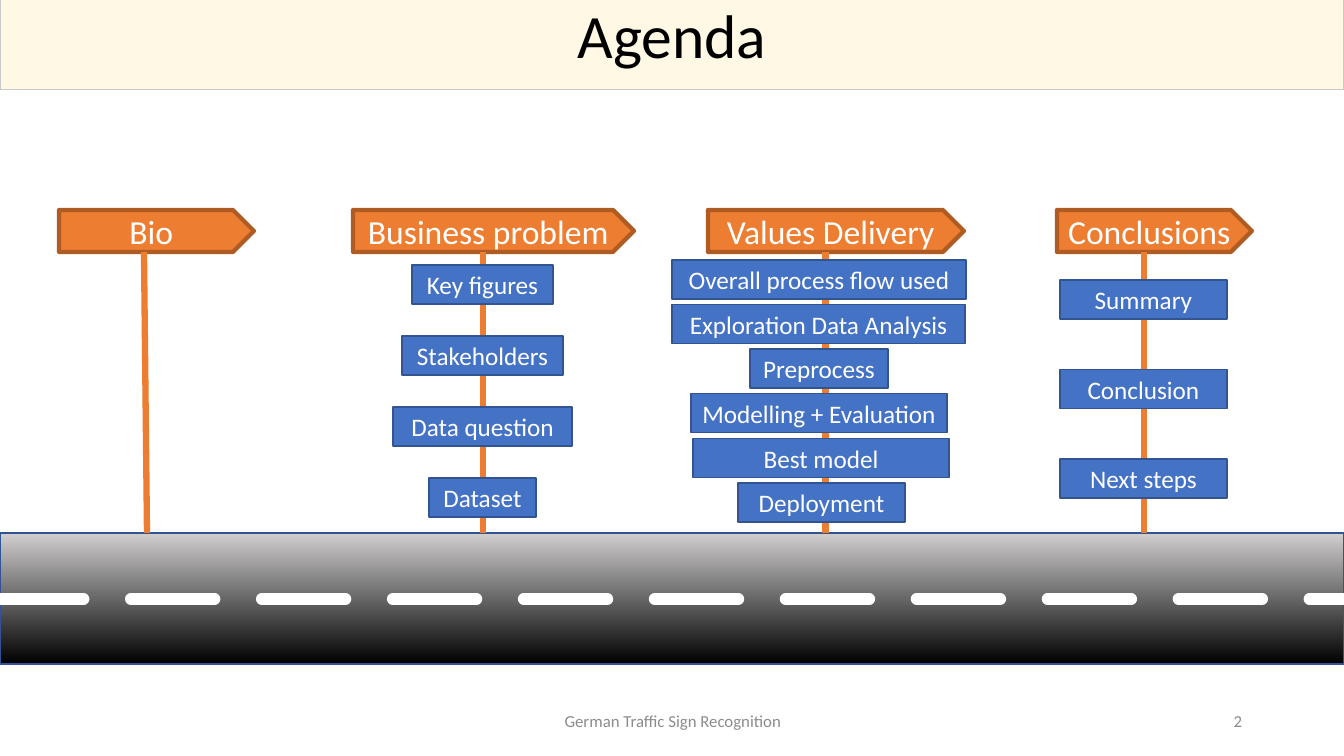
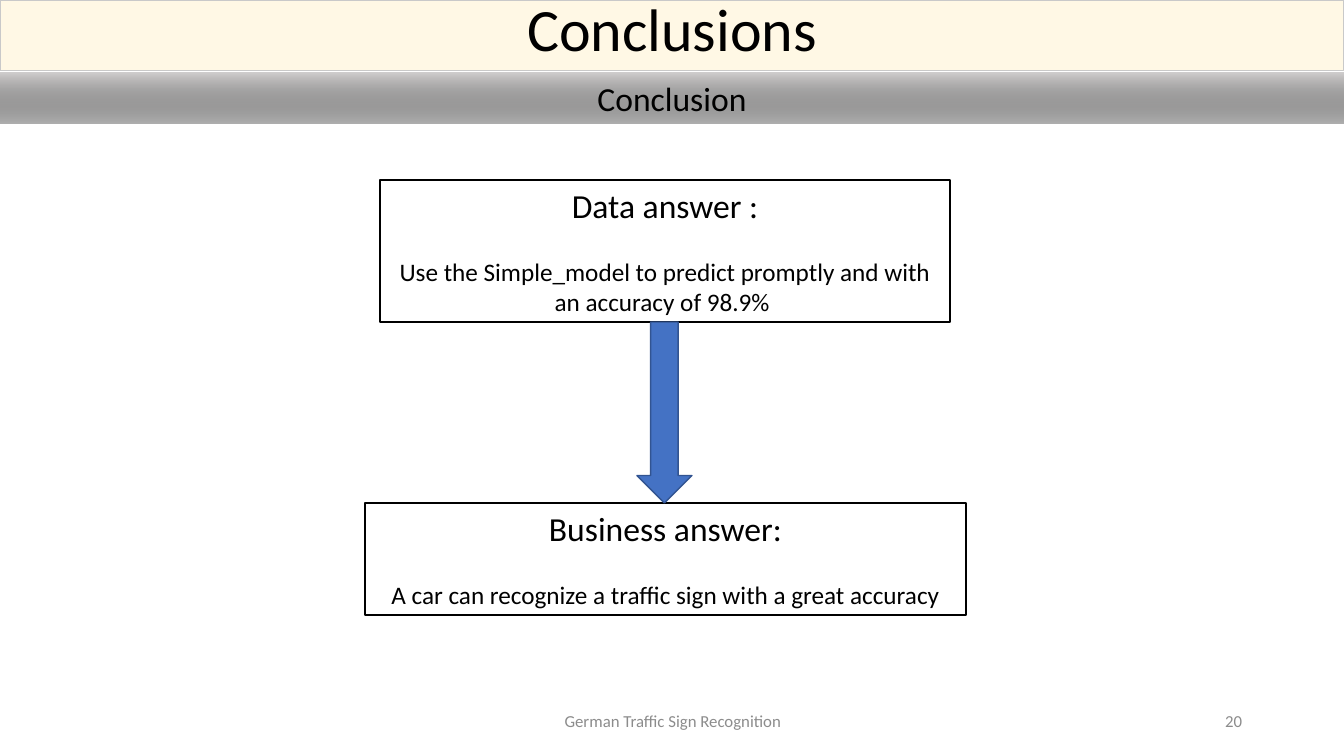
from lxml.etree import SubElement
from pptx import Presentation
from pptx.dml.color import RGBColor
from pptx.enum.dml import MSO_LINE
from pptx.enum.shapes import MSO_CONNECTOR, MSO_SHAPE as Shape
from pptx.enum.text import MSO_ANCHOR as Anchor, PP_ALIGN as Align
from pptx.oxml.ns import qn
from pptx.util import Emu, Pt

SCALE = 12192000 / 1344  # EMU in one px
WIDTH, HEIGHT = 1344, 756

FONT = "Calibri"
BLACK, WHITE, GREY = "000000", "FFFFFF", "8C8C8C"
CREAM, CREAM_EDGE = "FFF2CC", "C9C9C9"
ORANGE, ORANGE_EDGE = "ED7D31", "AF5C24"
BLUE, BLUE_EDGE = "4472C4", "325491"
ASPHALT = (BLACK, "D0CECE")  # bottom to top


def px(value):
    return Emu(round(value * SCALE))


def color(code):
    return RGBColor.from_string(code)


class Slides:
    """Shared style and the slide being built."""

    def __init__(self):
        self.deck = Presentation()
        self.deck.slide_width, self.deck.slide_height = px(WIDTH), px(HEIGHT)
        self.page = None

    def new_page(self, title, number, band_height, size, spacing):
        self.page = self.deck.slides.add_slide(self.deck.slide_layouts[6])
        self.footer("German Traffic Sign Recognition", 446, 454, Align.CENTER)
        self.footer(str(number), 950, 302, Align.RIGHT)
        band = self.shape(Shape.RECTANGLE, 0, 0, WIDTH, band_height,
                          CREAM, CREAM_EDGE, 0.75, alpha=50)
        self.add_text(band, [(title, size)], BLACK, Anchor.TOP, spacing=spacing)

    def footer(self, text, left, width, align):
        box = self.page.shapes.add_textbox(px(left), px(701), px(width), px(40))
        self.add_text(box, [(text, 12)], GREY, align=align)

    def shape(self, kind, left, top, width, height, fill, edge=None,
              weight=1, alpha=None):
        """Preset shape; a pair of colours makes an upward gradient."""
        shape = self.page.shapes.add_shape(
            kind, px(left), px(top), px(width), px(height))
        shape.shadow.inherit = False
        if isinstance(fill, tuple):
            shape.fill.gradient()
            shape.fill.gradient_angle = 90
            for stop, code in zip(shape.fill.gradient_stops, fill):
                stop.color.rgb = color(code)
        else:
            shape.fill.solid()
            shape.fill.fore_color.rgb = color(fill)
        if alpha is not None:
            first = shape.element.spPr.xpath(".//a:srgbClr")[0]
            SubElement(first, qn("a:alpha")).set("val", str(alpha * 1000))
        if edge:
            shape.line.color.rgb = color(edge)
            shape.line.width = Pt(weight)
        else:
            shape.line.fill.background()
        return shape

    def add_text(self, box, lines, code, anchor=Anchor.MIDDLE,
                 align=Align.CENTER, spacing=None, gap=0):
        """Fill a box with (text, size) paragraphs, gap points apart."""
        frame = box.text_frame
        frame.word_wrap = True
        frame.vertical_anchor = anchor
        for index, (text, size) in enumerate(lines):
            para = frame.add_paragraph() if index else frame.paragraphs[0]
            para.alignment = align
            if spacing:
                para.line_spacing = spacing
            if index and gap:
                para.space_before = Pt(gap)
            span = para.add_run()
            span.text = text
            span.font.name = FONT
            span.font.size = Pt(size)
            span.font.color.rgb = color(code)

    def line(self, x1, y1, x2, y2, code, weight):
        line = self.page.shapes.add_connector(
            MSO_CONNECTOR.STRAIGHT, px(x1), px(y1), px(x2), px(y2))
        line.line.color.rgb = color(code)
        line.line.width = Pt(weight)
        SubElement(line.element.spPr, qn("a:effectLst"))
        return line

    def road(self, top, height, middle):
        self.shape(Shape.RECTANGLE, 0, top, WIDTH, height, ASPHALT, BLUE_EDGE)
        marking = self.line(0, middle, WIDTH, middle, WHITE, 8.5)
        marking.line.dash_style = MSO_LINE.LONG_DASH
        marking.element.spPr.find(qn("a:ln")).set("cap", "rnd")

    def signpost(self, title, left, width, foot, stem=None):
        """Arrow-shaped sign on a stem that runs down to the road."""
        top, height = 210, 42
        sign = self.shape(Shape.PENTAGON, left, top, width, height,
                          ORANGE, ORANGE_EDGE, 3)
        self.add_text(sign, [(title, 24)], WHITE)
        middle = left + (width - height / 2) / 2  # centre of the flat edge
        start, end = stem or (middle, middle)
        self.line(start, top + height, end, foot, ORANGE, 4.5)

    def topics(self, first, last, items):
        """Chips (text, left, width) spread evenly between two tops."""
        step = (last - first) / (len(items) - 1)
        for index, (text, left, width) in enumerate(items):
            chip = self.shape(Shape.RECTANGLE, left, first + index * step,
                              width, 39, BLUE, BLUE_EDGE)
            self.add_text(chip, [(text, 18)], WHITE)

    def answer(self, heading, text, left, top, width, height):
        box = self.shape(Shape.RECTANGLE, left, top, width, height, WHITE, BLACK)
        self.add_text(box, [(heading, 24), (text, 18)], BLACK, Anchor.TOP, gap=22)


def agenda(slides):
    slides.new_page("Agenda", 2, 90, 44, 0.9)
    road_top = 533
    slides.road(road_top, 131, 599)

    # Signs along the road
    slides.signpost("Bio", 59, 195, road_top, stem=(144, 147))
    slides.signpost("Business problem", 353, 281, road_top)
    slides.signpost("Values Delivery", 708, 256, road_top)
    slides.signpost("Conclusions", 1057, 195, road_top)

    # Topics on each stem
    slides.topics(265, 478, [
        ("Key figures", 412, 141),
        ("Stakeholders", 402, 161),
        ("Data question", 393, 179),
        ("Dataset", 429, 107),
    ])
    slides.topics(260, 483, [
        ("Overall process flow used", 672, 294),
        ("Exploration Data Analysis", 672, 293),
        ("Preprocess", 750, 138),
        ("Modelling + Evaluation", 691, 256),
        ("Best model", 693, 256),
        ("Deployment", 738, 167),
    ])
    slides.topics(280, 459, [
        (text, 1060, 167) for text in ("Summary", "Conclusion", "Next steps")])


def conclusions(slides):
    slides.new_page("Conclusions", 20, 71, 42.9, 0.8)

    # Subtitle band
    band = slides.shape(Shape.RECTANGLE, 0, 73, WIDTH, 51, ASPHALT, alpha=31)
    slides.add_text(band, [("Conclusion", 24)], BLACK, Anchor.TOP)

    # From the data answer to the business answer
    slides.answer("Business answer:",
                  "A car can recognize a traffic sign with a great accuracy",
                  365, 503, 601, 112)
    slides.answer("Data answer :",
                  "Use the Simple_model to predict promptly and with "
                  "an accuracy of 98.9% ",
                  380, 180, 570, 142)
    slides.shape(Shape.DOWN_ARROW, 637, 322, 55, 181, BLUE, BLUE_EDGE)


def main():
    slides = Slides()
    agenda(slides)
    conclusions(slides)
    slides.deck.save("out.pptx")


if __name__ == "__main__":
    main()
